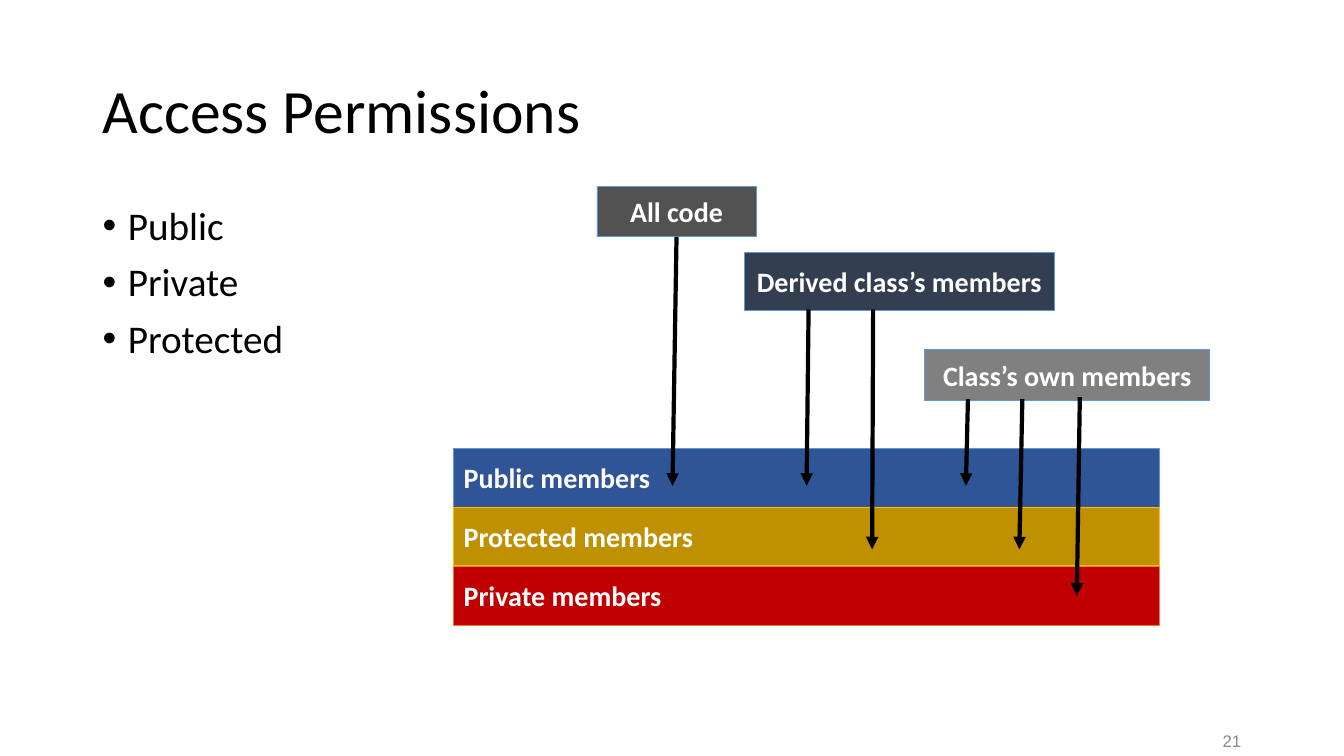
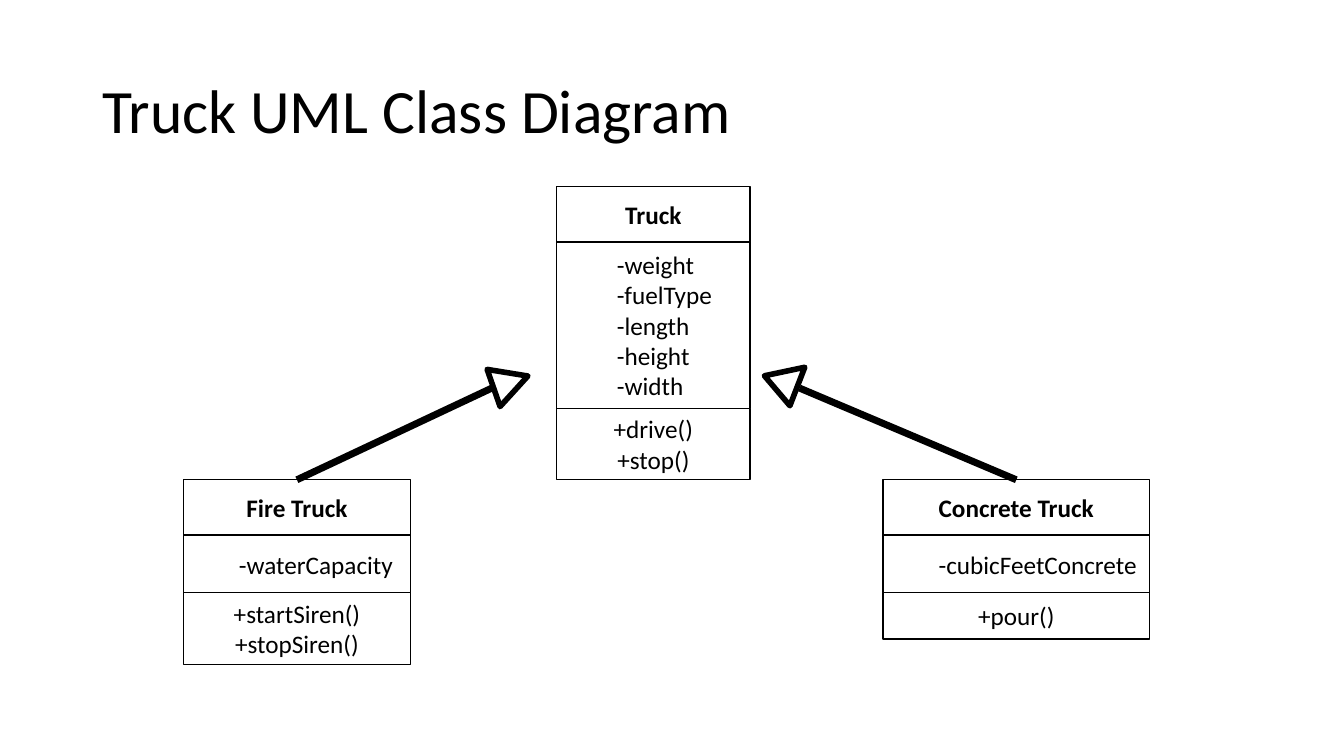
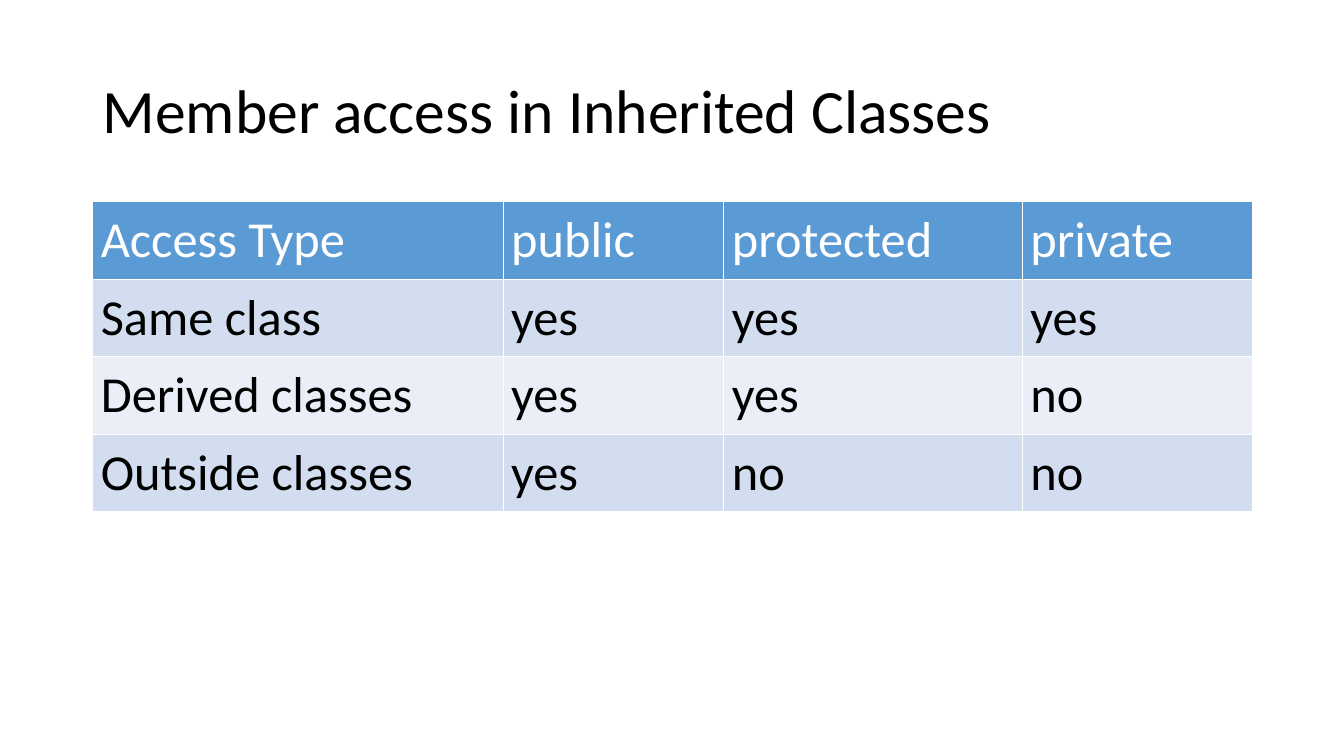
from dataclasses import dataclass

from lxml.etree import SubElement
from pptx import Presentation
from pptx.dml.color import RGBColor
from pptx.enum.shapes import MSO_CONNECTOR, MSO_SHAPE
from pptx.enum.text import MSO_ANCHOR, PP_ALIGN
from pptx.oxml.ns import qn
from pptx.util import Pt

PX = 9144  # EMU in one px, 100 px to the inch
TOP, BOTTOM = 0, 2  # connection sites of a rectangle


@dataclass(frozen=True)
class Theme:
    font: str = "Calibri"
    number_font: str = "Arial"
    black: str = "000000"
    white: str = "FFFFFF"
    number: str = "898989"
    accent: str = "5B9BD5"
    public: str = "2F5597"
    protected: str = "BF9000"
    protected_edge: str = "FFC000"
    private: str = "C00000"
    private_edge: str = "ED7D31"
    all_code: str = "525252"
    derived: str = "333F50"
    own: str = "808080"
    row_dark: str = "D2DEEF"
    row_light: str = "EAEFF7"
    title_size: int = 44
    table_size: int = 36
    body_size: int = 28
    label_size: int = 20
    uml_size: int = 18
    number_size: int = 12


THEME = Theme()


# Text and line helpers
def px(*lengths):
    return [length * PX for length in lengths]


def rgb(colour):
    return RGBColor.from_string(colour)


def write(text_frame, text, size, colour, bold=False, align=PP_ALIGN.LEFT, font=THEME.font):
    text_frame.text = text
    for paragraph in text_frame.paragraphs:
        paragraph.alignment = align
        for run in paragraph.runs:
            run.font.name = font
            run.font.size = Pt(size)
            run.font.bold = bold
            run.font.color.rgb = rgb(colour)


def set_line(line, colour, width):
    line.color.rgb = rgb(colour)
    line.width = Pt(width)


def add_text(slide, box, text, size, colour=THEME.black, anchor=MSO_ANCHOR.MIDDLE, **style):
    text_frame = slide.shapes.add_textbox(*px(*box)).text_frame
    text_frame.word_wrap = True
    text_frame.vertical_anchor = anchor
    write(text_frame, text, size, colour, **style)
    return text_frame


# Elements
def add_titled_slide(presentation, title):
    slide = presentation.slides.add_slide(presentation.slide_layouts[6])
    text_frame = add_text(slide, (92, 40, 1150, 145), title, THEME.title_size)
    text_frame.paragraphs[0].line_spacing = 0.9
    return slide


def add_bullets(slide, box, items):
    text_frame = add_text(slide, box, "\n".join(items), THEME.body_size, anchor=MSO_ANCHOR.TOP)
    for paragraph in text_frame.paragraphs:
        paragraph.line_spacing = 0.9
        paragraph.space_before = Pt(10)
        properties = paragraph._p.get_or_add_pPr()
        properties.set("marL", str(25 * PX))
        properties.set("indent", str(-25 * PX))
        SubElement(properties, qn("a:buFont"), typeface="Arial")
        SubElement(properties, qn("a:buChar"), char="•")


def add_outline(slide, kind, box, edge, width, fill=None):
    shape = slide.shapes.add_shape(kind, *px(*box))
    shape.shadow.inherit = False
    set_line(shape.line, edge, width)
    if fill:
        shape.fill.solid()
        shape.fill.fore_color.rgb = rgb(fill)
    else:
        shape.fill.background()
    return shape


def add_box(slide, box, text, size, colour, fill, edge, width, **style):
    shape = add_outline(slide, MSO_SHAPE.RECTANGLE, box, edge, width, fill)
    shape.text_frame.word_wrap = True
    shape.text_frame.vertical_anchor = MSO_ANCHOR.MIDDLE
    write(shape.text_frame, text, size, colour, **style)
    return shape


def add_label(slide, box, text, fill, edge=THEME.accent, align=PP_ALIGN.CENTER):
    return add_box(slide, box, text, THEME.label_size, THEME.white, fill, edge, 0.5,
                   bold=True, align=align)


def add_line(slide, start, end, width, arrow=False):
    line = slide.shapes.add_connector(MSO_CONNECTOR.STRAIGHT, *px(*start, *end))
    set_line(line.line, THEME.black, width)
    if arrow:
        SubElement(line.line._get_or_add_ln(), qn("a:tailEnd"), type="triangle")
    SubElement(line._element.spPr, qn("a:effectLst"))
    return line


def add_uml_class(slide, left, top, width, name, attributes, methods, heights):
    """Stack the three compartments of a class and return the top one."""
    compartments = []
    for text, height in zip((name, "\n".join(attributes), "\n".join(methods)), heights):
        compartments.append(add_box(
            slide, (left, top, width, height), text, THEME.uml_size, THEME.black,
            THEME.white, THEME.black, 1, bold=text == name, align=PP_ALIGN.CENTER))
        top += height
    text_frame = compartments[1].text_frame
    if len(attributes) == 1:
        text_frame.margin_left = text_frame.margin_right = 5 * PX
    for paragraph in text_frame.paragraphs:
        paragraph.alignment = PP_ALIGN.LEFT
        paragraph._p.get_or_add_pPr().set("marL", str(50 * PX))
    return compartments[0]


def add_inheritance(slide, child, start, end, head_corner, rotation):
    line = add_line(slide, start, end, 5)
    line.begin_connect(child, TOP)
    head = add_outline(slide, MSO_SHAPE.ISOSCELES_TRIANGLE, (*head_corner, 39, 36),
                       THEME.black, 4)
    head.rotation = rotation


def set_cell_borders(cell, colour, width):
    properties = cell._tc.get_or_add_tcPr()
    for position, side in enumerate(("lnL", "lnR", "lnT", "lnB")):
        border = SubElement(properties, qn(f"a:{side}"), w=str(Pt(width)))
        SubElement(SubElement(border, qn("a:solidFill")), qn("a:srgbClr"), val=colour)
        properties.insert(position, border)  # borders stand before the fill


def add_grid(slide, left, top, widths, row_height, rows):
    table = slide.shapes.add_table(
        len(rows), len(widths),
        *px(left, top, sum(widths), row_height * len(rows))).table
    for column, width in zip(table.columns, widths):
        column.width = width * PX
    for i, texts in enumerate(rows):
        table.rows[i].height = row_height * PX
        banding = THEME.row_dark if i % 2 else THEME.row_light
        fill, colour = (banding, THEME.black) if i else (THEME.accent, THEME.white)
        for j, text in enumerate(texts):
            cell = table.cell(i, j)
            cell.margin_left = cell.margin_right = 8 * PX
            cell.margin_top = cell.margin_bottom = 8 * PX
            cell.fill.solid()
            cell.fill.fore_color.rgb = rgb(fill)
            set_cell_borders(cell, THEME.white, 1)
            write(cell.text_frame, text, THEME.table_size, colour)


# Slides
def build_permissions(presentation):
    slide = add_titled_slide(presentation, "Access Permissions")
    add_bullets(slide, (92, 200, 1150, 476), ["Public", "Private", "Protected"])
    add_text(slide, (1008, 715, 233, 40), "21", THEME.number_size, THEME.number,
             align=PP_ALIGN.RIGHT, font=THEME.number_font)

    # Member bands
    bands = [("Public members", THEME.public, THEME.accent),
             ("Protected members", THEME.protected, THEME.protected_edge),
             ("Private members", THEME.private, THEME.private_edge)]
    for i, (text, fill, edge) in enumerate(bands):
        add_label(slide, (450, 445 + 117 * i // 2, 700, 58), text, fill, edge, PP_ALIGN.LEFT)

    # Kinds of code and the bands they reach
    public_y, protected_y, private_y = 482, 545, 591
    all_code = add_label(slide, (592, 185, 158, 50), "All code", THEME.all_code)
    arrow = add_line(slide, (671, 235), (667, public_y), 3, arrow=True)
    arrow.begin_connect(all_code, BOTTOM)
    add_label(slide, (738, 250, 308, 58), "Derived class’s members", THEME.derived)
    add_label(slide, (917, 347, 283, 50), "Class’s own members", THEME.own)
    for start, end in [((802, 307), (800, public_y)),
                       ((866, 307), (865, protected_y)),
                       ((960, 396), (958, public_y)),
                       ((1014, 396), (1011, protected_y)),
                       ((1071, 394), (1068, private_y))]:
        add_line(slide, start, end, 3, arrow=True)


def build_class_diagram(presentation):
    slide = add_titled_slide(presentation, "Truck UML Class Diagram")
    add_uml_class(slide, 552, 185, 192, "Truck",
                  ["-weight", "-fuelType", "-length", "-height", "-width"],
                  ["+drive()", "+stop()"], (55, 165, 71))
    fire = add_uml_class(slide, 182, 476, 225, "Fire Truck", ["-waterCapacity"],
                         ["+startSiren()", "+stopSiren()"], (55, 57, 71))
    concrete = add_uml_class(slide, 876, 476, 264, "Concrete Truck", ["-cubicFeetConcrete"],
                             ["+pour()"], (55, 57, 46))
    add_inheritance(slide, fire, (295, 476), (490, 384), (487, 361), 70.8)
    add_inheritance(slide, concrete, (1008, 476), (793, 385), (765, 358), 49.6)


def build_access_table(presentation):
    slide = add_titled_slide(presentation, "Member access in Inherited Classes")
    add_grid(slide, 92, 200, (407, 219, 296, 228), 77, [
        ("Access Type", "public", "protected", "private"),
        ("Same class", "yes", "yes", "yes"),
        ("Derived classes", "yes", "yes", "no"),
        ("Outside classes", "yes", "no", "no"),
    ])


def main():
    presentation = Presentation()
    presentation.slide_width, presentation.slide_height = px(1333, 750)
    build_permissions(presentation)
    build_class_diagram(presentation)
    build_access_table(presentation)
    presentation.save("out.pptx")


if __name__ == "__main__":
    main()
